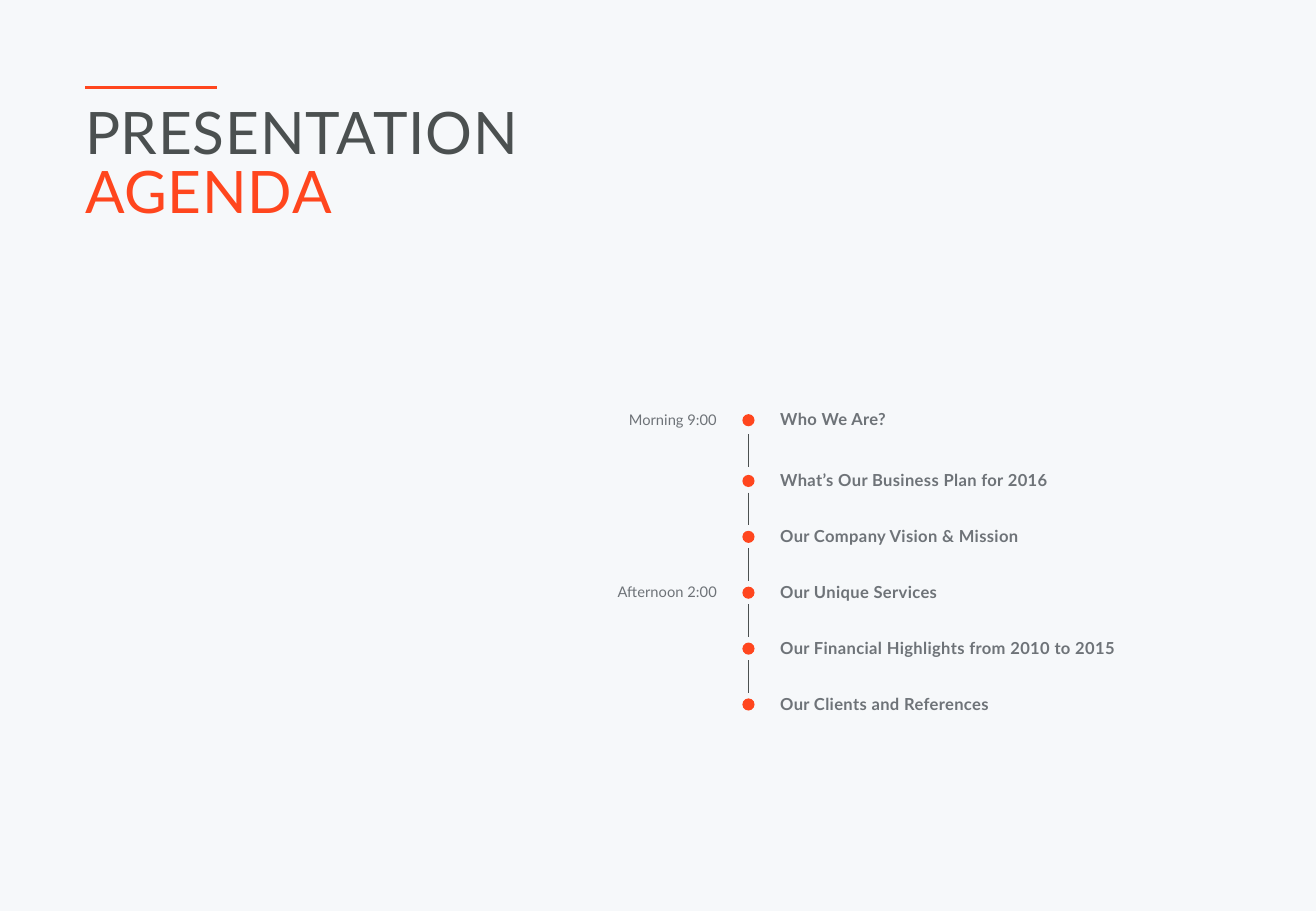
from itertools import pairwise
from lxml.etree import SubElement
from pptx import Presentation
from pptx.dml.color import RGBColor
from pptx.enum.shapes import MSO_CONNECTOR, MSO_SHAPE
from pptx.enum.text import MSO_AUTO_SIZE, PP_ALIGN
from pptx.oxml.ns import qn
from pptx.util import Inches, Pt

TITLE = [("PRESENTATION", "4B5050"), ("AGENDA", "FF461E")]
AGENDA = [
    ("Morning 9:00", "Who We Are?"),
    ("", "What’s Our Business Plan for 2016"),
    ("", "Our Company Vision & Mission"),
    ("Afternoon 2:00", "Our Unique Services"),
    ("", "Our Financial Highlights from 2010 to 2015"),
    ("", "Our Clients and References"),
]
FONT = "Lato"
ACCENT, DARK, GREY, PAPER = "FF461E", "4B5050", "6E7378", "F6F8FA"
AXIS_X, DOT, LINK = 6.16, 0.1, 0.27
FIRST_Y, SECOND_Y, STEP = 3.46, 3.96, 0.46


def paint(color_format, value):
    color_format.rgb = RGBColor.from_string(value)


def add_text(s, x, y, w, h, lines, size, bold=False, spacing=0,
             align=PP_ALIGN.LEFT, leading=None):
    tf = s.shapes.add_textbox(Inches(x), Inches(y), Inches(w), Inches(h)).text_frame
    tf.word_wrap = True
    tf.auto_size = MSO_AUTO_SIZE.SHAPE_TO_FIT_TEXT
    tf.margin_left = tf.margin_top = tf.margin_right = tf.margin_bottom = 0
    for i, (text, color) in enumerate(lines):
        p = tf.add_paragraph() if i else tf.paragraphs[0]
        p.alignment = align
        if leading:
            p.line_spacing = Pt(leading)
        r = p.add_run()
        r.text = text
        r.font.name = FONT
        r.font.size = Pt(size)
        r.font.bold = bold
        paint(r.font.color, color)
        if spacing:
            r._r.get_or_add_rPr().set("spc", str(spacing))


def add_line(s, x1, y1, x2, y2, color, width):
    line = s.shapes.add_connector(MSO_CONNECTOR.STRAIGHT, Inches(x1), Inches(y1),
                                  Inches(x2), Inches(y2))
    paint(line.line.color, color)
    line.line.width = Pt(width)
    SubElement(line._element.spPr, qn("a:effectLst"))


def add_dot(s, x, y):
    sp = s.shapes.add_shape(MSO_SHAPE.OVAL, Inches(x - DOT / 2), Inches(y - DOT / 2),
                            Inches(DOT), Inches(DOT))
    sp.shadow.inherit = False
    sp.fill.solid()
    paint(sp.fill.fore_color, ACCENT)
    sp.line.fill.background()


def main():
    prs = Presentation()
    prs.slide_width, prs.slide_height = Inches(10.83), Inches(7.5)
    s = prs.slides.add_slide(prs.slide_layouts[6])
    s.background.fill.solid()
    paint(s.background.fill.fore_color, PAPER)

    add_line(s, 0.7, 0.72, 1.79, 0.72, ACCENT, 2.25)
    add_text(s, 0.7, 0.89, 9.43, 0.98, TITLE, 34.7, spacing=50, leading=34.7)

    centers = [FIRST_Y] + [SECOND_Y + STEP * i for i in range(len(AGENDA) - 1)]
    for y, (time, topic) in zip(centers, AGENDA):
        add_text(s, 6.42, y - 0.09, 3.71, 0.16, [(topic, GREY)], 9.8, True, 20)
        add_dot(s, AXIS_X, y)
        if time:
            add_text(s, 4.78, y - 0.08, 1.12, 0.15, [(time, GREY)], 8.7,
                     align=PP_ALIGN.RIGHT)
    for above, below in pairwise(centers):
        middle = (above + below) / 2
        add_line(s, AXIS_X, middle - LINK / 2, AXIS_X, middle + LINK / 2, DARK, 0.75)

    prs.save("out.pptx")


if __name__ == "__main__":
    main()
